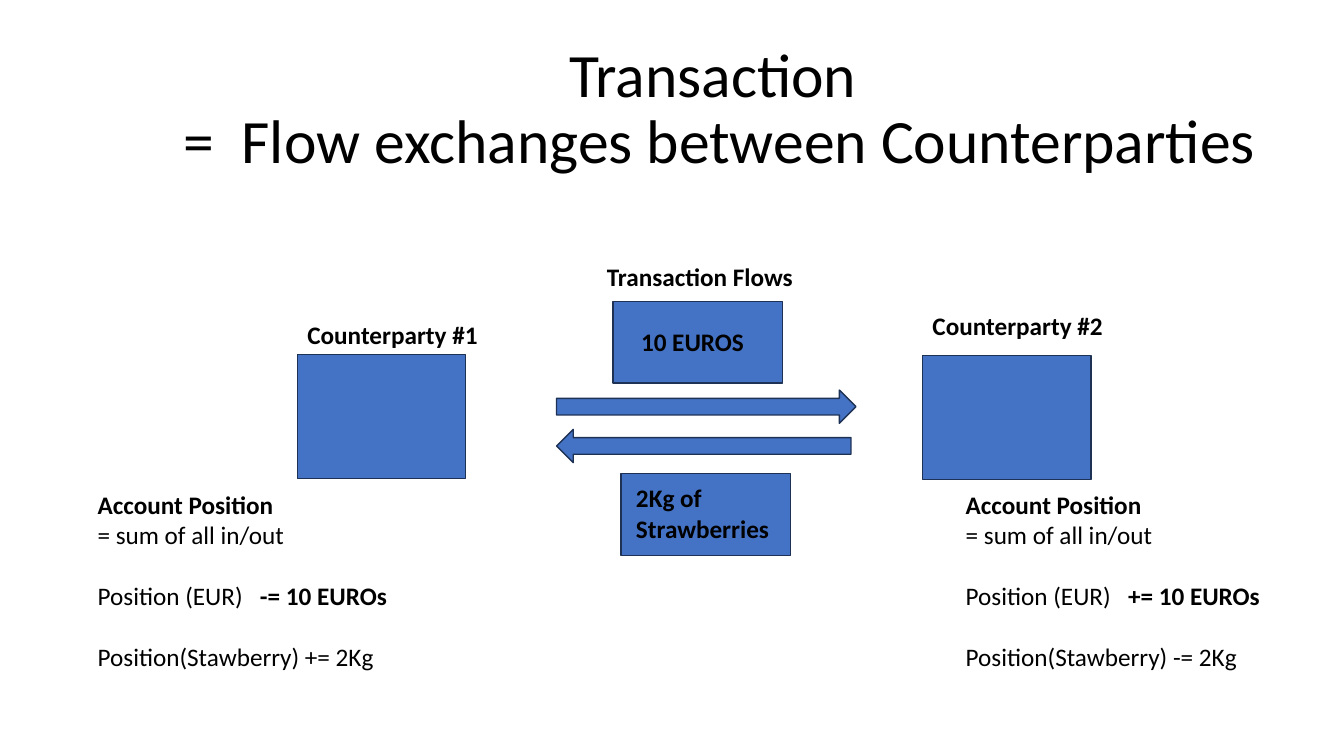
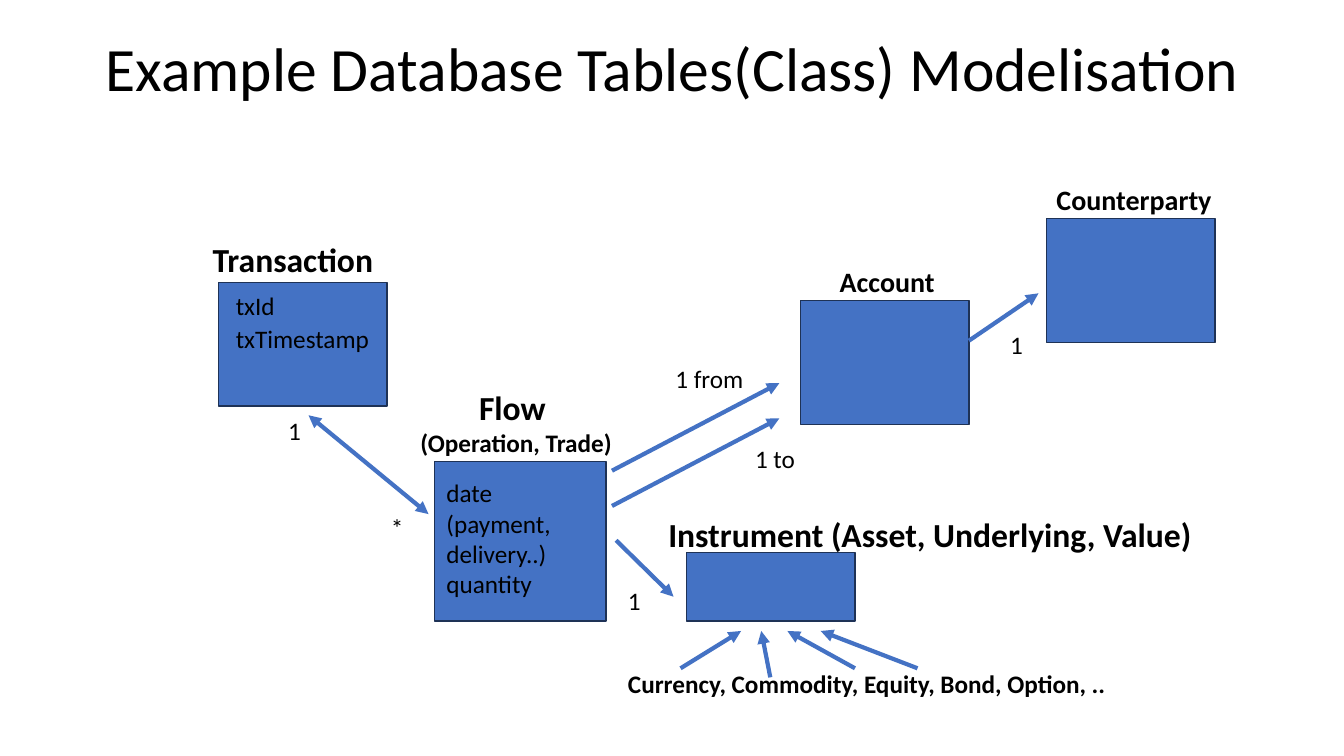
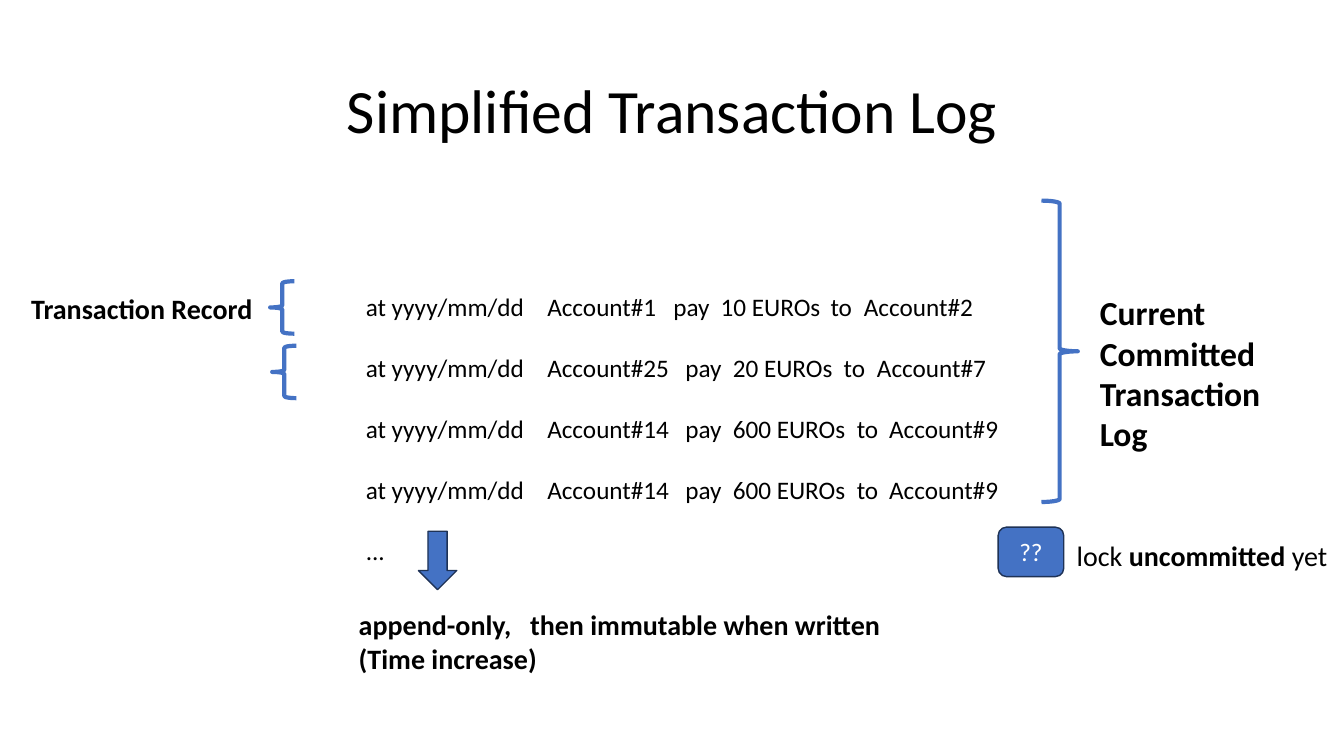
from lxml import etree
from pptx import Presentation
from pptx import util as u
from pptx.dml.color import RGBColor
from pptx.enum import shapes, text
from pptx.oxml.ns import qn

PX = 9144
FONT = "Calibri"
BLUE = RGBColor(0x44, 0x72, 0xC4)
NAVY = RGBColor(0x1E, 0x32, 0x56)
BLACK = RGBColor(0, 0, 0)
WHITE = RGBColor(255, 255, 255)
MSO = shapes.MSO_SHAPE
LEFT, CENTER = text.PP_ALIGN.LEFT, text.PP_ALIGN.CENTER
MIDDLE = text.MSO_ANCHOR.MIDDLE


def add_text(s, x, y, w, h, paras, size=18, bold=False, align=LEFT, spaced=(), tabs=()):
    """Segments between bars alternate between the base weight and its opposite."""
    tf = s.shapes.add_textbox(x * PX, y * PX, w * PX, h * PX).text_frame
    tf.word_wrap = True
    for i, para in enumerate(paras):
        p = tf.add_paragraph() if i else tf.paragraphs[0]
        if i < len(tabs) and tabs[i]:
            tab_list = etree.SubElement(p._p.get_or_add_pPr(), qn("a:tabLst"))
            for pos in tabs[i]:
                etree.SubElement(tab_list, qn("a:tab"), pos=str(pos * PX), algn="l")
        p.alignment = align
        if i in spaced:
            p.space_before = u.Pt(22)
        for j, segment in enumerate(para.split("|")):
            if segment:
                r = p.add_run()
                r.text = segment
                r.font.name, r.font.size = FONT, u.Pt(size)
                r.font.bold = bold != (j % 2 == 1)
                r.font.color.rgb = BLACK
    return tf


def add_shape(s, kind, x, y, w, h, filled=True):
    sp = s.shapes.add_shape(kind, x * PX, y * PX, w * PX, h * PX)
    sp.shadow.inherit = False
    if filled:
        sp.fill.solid()
        sp.fill.fore_color.rgb = BLUE
    else:
        sp.fill.background()
    sp.line.color.rgb = NAVY if filled else BLUE
    sp.line.width = u.Pt(1 if filled else 3)
    return sp


prs = Presentation()
prs.slide_width, prs.slide_height = 1333 * PX, 750 * PX

slides = []
for x, y, w, h, title in [
    (92, 1, 1230, 217, ["Transaction", " =  Flow exchanges between Counterparties"]),
    (92, 0, 1150, 142, ["Example Database Tables(Class) Modelisation"]),
    (92, 40, 1150, 145, ["Simplified Transaction Log"]),
]:
    s = prs.slides.add_slide(prs.slide_layouts[6])
    tf = add_text(s, x, y, w, h, title, 44, align=CENTER)
    tf.vertical_anchor = MIDDLE
    for p in tf.paragraphs:
        p.line_spacing = 0.9
    slides.append(s)
flows, model, log = slides

for kind, x, y, w, h in [
    (MSO.RECTANGLE, 295, 352, 167, 123),
    (MSO.RECTANGLE, 915, 353, 167, 123),
    (MSO.RECTANGLE, 608, 299, 168, 81),
    (MSO.RECTANGLE, 616, 470, 168, 81),
    (MSO.RIGHT_ARROW, 552, 387, 297, 33),
    (MSO.LEFT_ARROW, 552, 426, 292, 33),
]:
    add_shape(flows, kind, x, y, w, h)
for x, y, w, label in [
    (295, 312, 229, "Counterparty #1"),
    (915, 303, 229, "Counterparty #2"),
    (592, 254, 229, "Transaction Flows"),
    (626, 319, 187, "10 EUROS"),
    (621, 474, 187, "2Kg of Strawberries"),
]:
    add_text(flows, x, y, w, 40, [label], bold=True)
for x, euros, strawberries in [(87, "-=", "+="), (948, "+=", "-=")]:
    add_text(flows, x, 480, 373, 192,
             ["|Account Position", "= sum of all in/out",
              f"Position (EUR)\t|{euros} 10 EUROs", f"Position(Stawberry) {strawberries} 2Kg"],
             spaced=(2, 3), tabs=((), (), (161,)))

for x, y, w, h in [
    (1038, 217, 167, 123),
    (794, 298, 167, 123),
    (217, 280, 167, 123),
    (431, 458, 170, 158),
    (681, 548, 167, 68),
]:
    add_shape(model, MSO.RECTANGLE, x, y, w, h)
for x, y, w, size, label in [
    (1038, 176, 229, 20, "Counterparty"),
    (823, 258, 229, 20, "Account"),
    (201, 232, 229, 24, "Transaction"),
    (653, 505, 670, 24, "Instrument (Asset, Underlying, Value)"),
    (613, 658, 667, 18, "Currency, Commodity, Equity, Bond, Option, .."),
]:
    add_text(model, x, y, w, 44, [label], size, True)
tf = add_text(model, 384, 379, 256, 81, ["Flow ", "(Operation, Trade)"], 24, True, CENTER)
tf.paragraphs[1].runs[0].font.size = u.Pt(18)
for x, y, w, paras in [
    (660, 356, 100, ["1 from"]),
    (739, 435, 70, ["1 to"]),
    (613, 576, 40, ["1"]),
    (224, 283, 80, ["txId"]),
    (224, 316, 170, ["txTimestamp"]),
    (276, 407, 40, ["1"]),
    (378, 503, 40, ["*"]),
    (992, 322, 40, ["1"]),
    (433, 469, 140, ["date", "(payment,", "delivery..)", "quantity"]),
]:
    add_text(model, x, y, w, 40 * len(paras), paras)
for x1, y1, x2, y2, ends in [
    (961, 338, 1030, 291, ["tailEnd"]),
    (607, 467, 773, 380, ["tailEnd"]),
    (607, 502, 773, 415, ["tailEnd"]),
    (611, 536, 668, 592, ["tailEnd"]),
    (306, 412, 425, 510, ["headEnd", "tailEnd"]),
    (675, 663, 735, 626, ["tailEnd"]),
    (764, 672, 755, 626, ["tailEnd"]),
    (848, 663, 781, 626, ["tailEnd"]),
    (910, 663, 814, 626, ["tailEnd"]),
]:
    cx = model.shapes.add_connector(shapes.MSO_CONNECTOR.STRAIGHT, x1 * PX, y1 * PX, x2 * PX, y2 * PX)
    cx.line.color.rgb = BLUE
    cx.line.width = u.Pt(3)
    ln = cx.line._get_or_add_ln()
    for end in ends:
        etree.SubElement(ln, qn("a:" + end), type="triangle")
    etree.SubElement(cx._element.spPr, qn("a:effectLst"))

records = [
    ("Account#1", 10, "Account#2", (180, 305, 352, 461, 494)),
    ("Account#25", 20, "Account#7", (180, 317, 364, 474, 507)),
    ("Account#14", 600, "Account#9", (180, 317, 364, 487, 519)),
    ("Account#14", 600, "Account#9", (180, 317, 364, 487, 519)),
]
add_text(log, 353, 284, 680, 283,
         [f"at yyyy/mm/dd\t{payer}\tpay\t{amount} EUROs\tto\t{payee}"
          for payer, amount, payee, stops in records] + ["..."],
         spaced=range(1, 5), tabs=[record[3] for record in records])
add_shape(log, MSO.DOWN_ARROW, 415, 527, 38, 58)
for kind, x, y, w, h in [
    (MSO.LEFT_BRACE, 268, 279, 24, 52),
    (MSO.LEFT_BRACE, 270, 343, 24, 52),
    (MSO.RIGHT_BRACE, 1033, 199, 36, 299),
]:
    add_shape(log, kind, x, y, w, h, filled=False)
add_text(log, 21, 284, 245, 44, ["Transaction Record"], 20, True)
add_text(log, 346, 598, 570, 77, ["append-only,\tthen immutable when written", "(Time increase)"],
         20, True, tabs=((170,),))
add_text(log, 1081, 285, 200, 172, ["Current", "Committed", "Transaction", "Log"], 24, True)
add_text(log, 1058, 529, 275, 44, ["lock |uncommitted |yet"], 20)
lock = add_shape(log, MSO.ROUNDED_RECTANGLE, 990, 523, 65, 49)
tf = lock.text_frame
tf.text = "??"
tf.vertical_anchor = MIDDLE
p = tf.paragraphs[0]
p.alignment = CENTER
r = p.runs[0]
r.font.name, r.font.size = FONT, u.Pt(18)
r.font.color.rgb = WHITE

prs.save("out.pptx")
